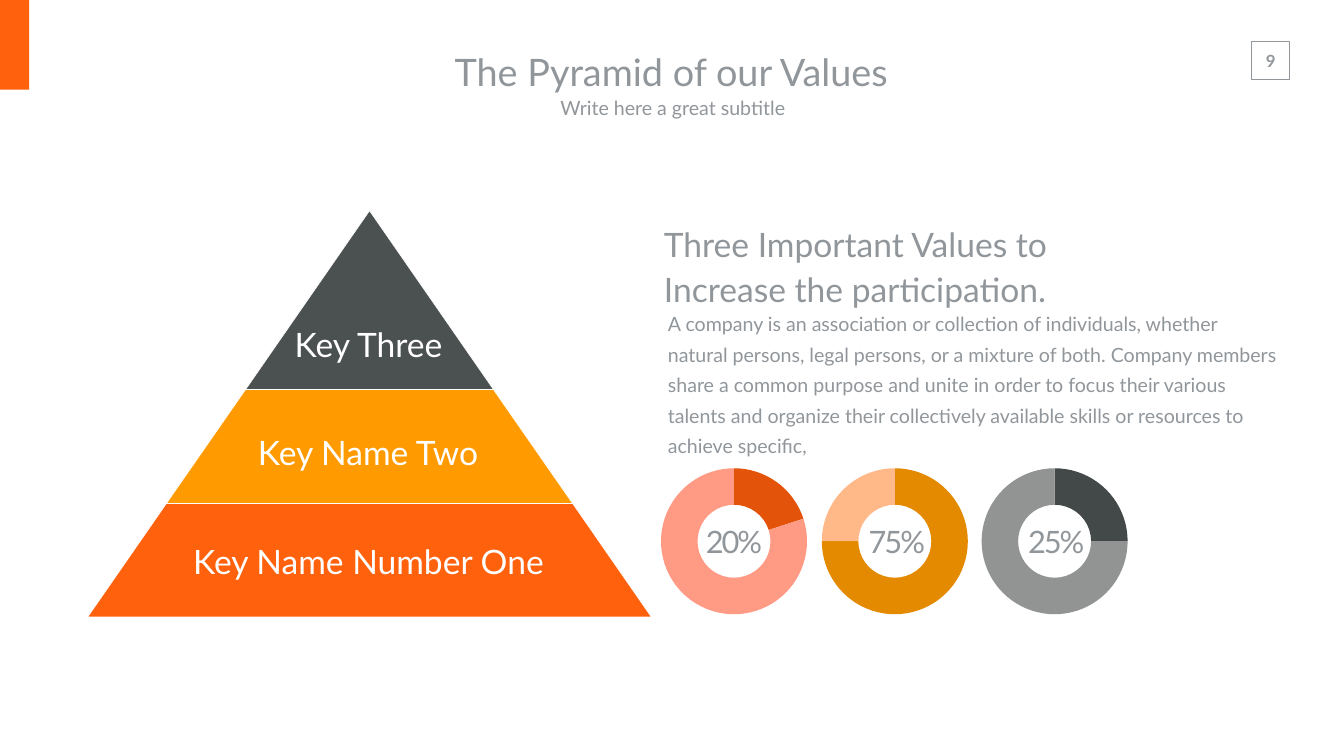
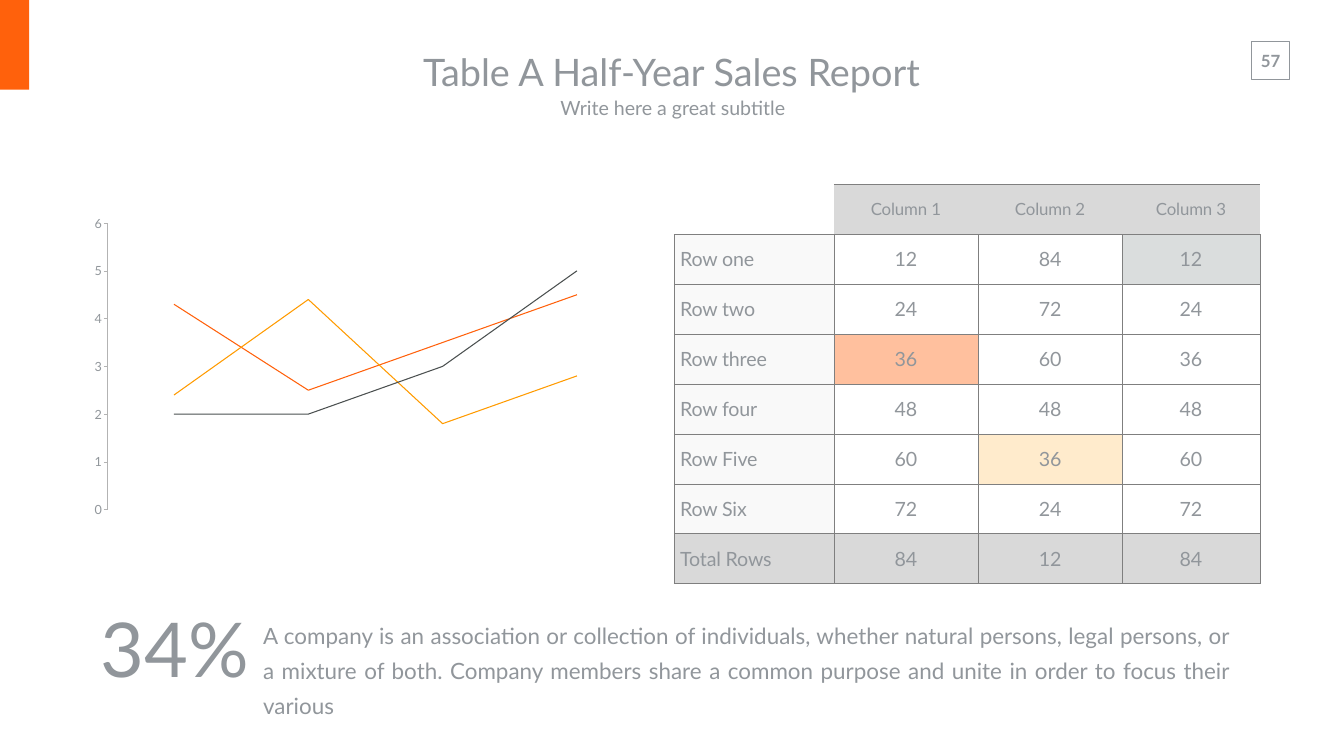
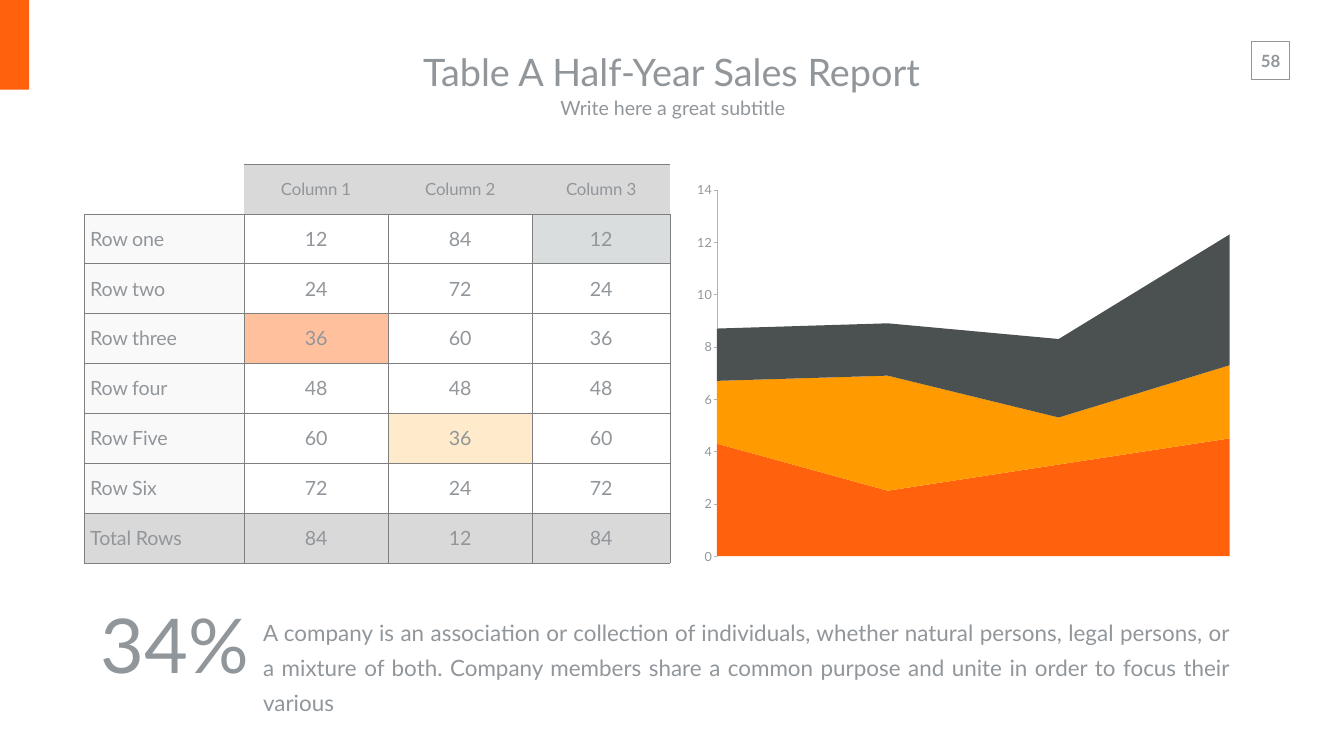
from pptx import Presentation
from pptx import util as u
from pptx.chart import data as chart_data
from pptx.dml.color import RGBColor
from pptx.enum import chart as ch, shapes, text
from pptx.oxml import parse_xml
from pptx.oxml.ns import nsdecls


class Theme:
    font = "Lato"
    grey, white = RGBColor.from_string("91969B"), RGBColor.from_string("FFFFFF")
    orange, amber, slate = (RGBColor.from_string(c) for c in ("FF610C", "FF9B00", "4B5050"))
    axis = RGBColor.from_string("B3B3B3")
    band, pale_slate, pale_orange, pale_amber = (
        RGBColor.from_string(c) for c in ("D9D9D9", "DADDDD", "FFC09E", "FFEBCC"))
    border = "7F7F7F"
    rings = [("E3540A", "FF9A85"), ("E38A00", "FFB888"), ("434848", "919493")]
    title, heading, label, figure = 54, 48, 44, 108
    report, body, small, chart = 32, 28, 24, 18


PX = 9144  # 100 px to the inch
CENTER, MIDDLE = text.PP_ALIGN.CENTER, text.MSO_ANCHOR.MIDDLE
WIDE = (27, 13)


def px(*lengths):
    return [u.Emu(length * PX) for length in lengths]


def write(holder, lines, size, align=text.PP_ALIGN.LEFT, anchor=text.MSO_ANCHOR.TOP,
          inset=(10, 5), spacing=None, color=Theme.grey, tracking=None):
    """Fill a shape or a table cell with one paragraph per line."""
    frame = holder.text_frame
    owner = holder if hasattr(holder, "margin_left") else frame
    owner.margin_left = owner.margin_right = px(inset[0])[0]
    owner.margin_top = owner.margin_bottom = px(inset[1])[0]
    owner.vertical_anchor = anchor
    if owner is frame:
        frame.word_wrap = True
        frame.auto_size = text.MSO_AUTO_SIZE.SHAPE_TO_FIT_TEXT
    frame.text = "\n".join(lines)
    for para in frame.paragraphs:
        para.alignment = align
        if spacing:
            para.line_spacing = spacing
        font = para.font
        font.name, font.size, font.color.rgb = Theme.font, u.Pt(size), color
        if tracking:
            font._element.set("spc", str(tracking))


deck = Presentation()
deck.slide_width, deck.slide_height = px(2666, 1500)
charts = []  # each chart with the place of its plot area

# Shared frame of every slide
pages = []
for number, title, left, width in [
    (9, "The Pyramid of our Values", 815, 1033),
    (57, "Table A Half-Year Sales Report", 576, 1512),
    (58, "Table A Half-Year Sales Report", 576, 1512),
]:
    page = deck.slides.add_slide(deck.slide_layouts[5])
    pages.append(page)
    box = page.shapes.add_textbox(*px(2480, 90, 81, 61))
    write(box, [str(number)], Theme.small, CENTER, inset=(20, 10))
    box.text_frame.word_wrap = False
    box.text_frame.paragraphs[0].font.bold = True

    square = page.shapes.add_shape(shapes.MSO_SHAPE.RECTANGLE, *px(2483, 82, 75, 75))
    square.fill.background()
    square.line.color.rgb, square.line.width = Theme.grey, u.Pt(1)
    corner = page.shapes.add_shape(shapes.MSO_SHAPE.RECTANGLE, *px(0, 0, 58, 178))
    corner.fill.solid()
    corner.fill.fore_color.rgb = Theme.orange
    corner.line.fill.background()
    square.shadow.inherit = corner.shadow.inherit = False

    heading = page.shapes.title
    heading.left, heading.top, heading.width, heading.height = px(left, 83, width, 118)
    write(heading, [title], Theme.title, CENTER, MIDDLE, WIDE)
    subtitle = page.shapes.add_textbox(*px(818, 176, 1033, 74))
    write(subtitle, ["Write here a great subtitle"], Theme.body, CENTER, MIDDLE, WIDE)

pyramid_page, *report_pages = pages

# Pyramid
apex_x, apex_y, slope = 733, 418, 0.694
for top, bottom, color in [(418, 773, Theme.slate), (773, 999, Theme.amber),
                           (999, 1224, Theme.orange)]:
    upper, lower = (round((y - apex_y) * slope) for y in (top, bottom))
    outline = pyramid_page.shapes.build_freeform(apex_x - lower, bottom, scale=PX)
    outline.add_line_segments([(apex_x - upper, top), (apex_x + upper, top),
                               (apex_x + lower, bottom)], close=True)
    level = outline.convert_to_shape()
    level.shadow.inherit = False
    level.fill.solid()
    level.fill.fore_color.rgb = color
    level.line.color.rgb, level.line.width = Theme.white, u.Pt(1)

# Share rings
for left, label_left, share, colors in zip(
        (1250, 1569, 1886), (1350, 1673, 1989), (20, 75, 25), Theme.rings):
    values = chart_data.CategoryChartData()
    values.categories = ["1", "2"]
    values.add_series("Series 1", [share, 100 - share])
    ring = pyramid_page.shapes.add_chart(
        ch.XL_CHART_TYPE.DOUGHNUT, *px(left, 903, 408, 342), values).chart
    charts.append((ring, (0.15, 0.07, 0.71, 0.86)))
    plot = ring.plots[0]
    plot.vary_by_categories = True
    plot._element.xpath("c:holeSize")[0].set("val", "84")
    for index, color in enumerate(colors):
        look = plot.series[0].points[index].format
        look.fill.solid()
        look.fill.fore_color.rgb = RGBColor.from_string(color)
        look.line.fill.background()
    label = pyramid_page.shapes.add_textbox(*px(label_left, 1000, 212, 148))
    write(label, [f"{share}%"], Theme.label, CENTER, MIDDLE, WIDE, tracking=-300)
    label.text_frame.auto_size = text.MSO_AUTO_SIZE.NONE

# Pyramid texts
box = pyramid_page.shapes.add_textbox(*px(1315, 630, 1231, 253))
write(box, ["A company is an association or collection of individuals, whether natural persons, "
            "legal persons, or a mixture of both. Company members share a common purpose and "
            "unite in order to focus their various talents and organize their collectively "
            "available skills or resources to achieve specific,"],
      Theme.body, anchor=MIDDLE, spacing=1.3)
box = pyramid_page.shapes.add_textbox(*px(1307, 432, 1175, 186))
write(box, ["Three Important Values to", "Increase the participation."],
      Theme.heading, spacing=1.1)
for name, left, top, width in [("Key Name Number One", 366, 1061, 730),
                               ("Key Name Two", 481, 844, 498),
                               ("Key Three", 525, 630, 412)]:
    box = pyramid_page.shapes.add_textbox(*px(left, top, width, 98))
    write(box, [name], Theme.heading, CENTER, spacing=1.1, color=Theme.white)

# Sales reports
rows = [
    ("", "Column 1", "Column 2", "Column 3"),
    ("Row one", 12, 84, 12),
    ("Row two", 24, 72, 24),
    ("Row three", 36, 60, 36),
    ("Row four", 48, 48, 48),
    ("Row Five", 60, 36, 60),
    ("Row Six", 72, 24, 72),
    ("Total Rows", 84, 12, 84),
]
highlights = {(1, 3): Theme.pale_slate, (3, 1): Theme.pale_orange, (5, 2): Theme.pale_amber}
sales = [
    ("Series 1", (4.3, 2.5, 3.5, 4.5), Theme.orange),
    ("Series 2", (2.4, 4.4, 1.8, 2.8), Theme.amber),
    ("Series 3", (2, 2, 3, 5), Theme.slate),
]
last_row = len(rows) - 1
reports = [
    (1214, (1337, 366), ch.XL_CHART_TYPE.LINE, (167, 402, 1122, 677), 6, 1),
    (1207, (167, 325), ch.XL_CHART_TYPE.AREA_STACKED, (1379, 325, 1071, 865), 14, 2),
]
for page, (text_top, table_at, kind, chart_frame, top_value, step) in zip(report_pages, reports):
    box = page.shapes.add_textbox(*px(512, text_top, 1938, 147))
    write(box, ["A company is an association or collection of individuals, whether natural "
                "persons, legal persons, or a mixture of both. Company members share a common "
                "purpose and unite in order to focus their various"],
          Theme.report, text.PP_ALIGN.JUSTIFY, spacing=1.3)
    box = page.shapes.add_textbox(*px(190, text_top - 25, 352, 192))
    write(box, ["34%"], Theme.figure)

    table = page.shapes.add_table(len(rows), 4, *px(*table_at, 1162, 792)).table
    table.first_row = table.horz_banding = False
    no_style = "{2D5ABB26-0587-4C30-8999-92F81FD0307C}"
    table._tbl.tblPr.xpath("a:tableStyleId")[0].text = no_style
    for column, width in zip(table.columns, px(317, 286, 286, 273)):
        column.width = width
    for r, row in enumerate(rows):
        table.rows[r].height = px(99)[0]
        for c, value in enumerate(row):
            cell = table.cell(r, c)
            if value != "":
                write(cell, [str(value)], Theme.body if r else Theme.small,
                      CENTER if c else text.PP_ALIGN.LEFT, MIDDLE, (12, 7), tracking=-20)
            shaded = r == last_row or (r == 0) != (c == 0)
            fill = highlights.get((r, c), Theme.band if shaded else None)
            if fill is None:
                cell.fill.background()
            else:
                cell.fill.solid()
                cell.fill.fore_color.rgb = fill
            properties = cell._tc.get_or_add_tcPr()
            if c == 0 and 0 < r < last_row:
                properties.xpath("a:solidFill/a:srgbClr")[0].append(
                    parse_xml(f'<a:alpha {nsdecls("a")} val="15000"/>'))
            sides = "LRTB" if r else "TB" if c else "B"
            for place, side in enumerate(sides):
                properties.insert(place, parse_xml(
                    f'<a:ln{side} {nsdecls("a")} w="6350"><a:solidFill>'
                    f'<a:srgbClr val="{Theme.border}"><a:alpha val="50000"/></a:srgbClr>'
                    f'</a:solidFill><a:prstDash val="solid"/></a:ln{side}>'))

    values = chart_data.CategoryChartData()
    values.categories = ["1", "2", "3", "4"]
    for name, numbers, _ in sales:
        values.add_series(name, numbers)
    chart = page.shapes.add_chart(kind, *px(*chart_frame), values).chart
    charts.append((chart, (0.04, 0.06, 0.95, 0.84)))
    chart.plots[0].vary_by_categories = False
    for series, (_, _, color) in zip(chart.plots[0].series, sales):
        if kind == ch.XL_CHART_TYPE.LINE:
            series.smooth = False
            series.format.line.color.rgb, series.format.line.width = color, u.Pt(1.5)
        else:
            series.format.fill.solid()
            series.format.fill.fore_color.rgb = color
            series.format.line.fill.background()
    chart.category_axis.visible = False
    chart.category_axis.has_major_gridlines = False
    axis = chart.value_axis
    axis.has_major_gridlines = False
    axis.minimum_scale, axis.maximum_scale, axis.major_unit = 0, top_value, step
    axis.major_tick_mark = ch.XL_TICK_MARK.OUTSIDE
    axis.format.line.color.rgb, axis.format.line.width = Theme.axis, u.Pt(0.75)

# Shared chart look
for chart, plot_place in charts:
    chart.has_legend = chart.has_title = False
    chart.font.name, chart.font.size = Theme.font, u.Pt(Theme.chart)
    chart.font.color.rgb = Theme.grey
    place = "".join(f'<c:{key} val="{value}"/>' for key, value in zip("xywh", plot_place))
    plot_area = chart._chartSpace.chart.plotArea
    for layout in plot_area.xpath("c:layout"):
        plot_area.remove(layout)
    plot_area.insert(0, parse_xml(
        f'<c:layout {nsdecls("c")}><c:manualLayout><c:layoutTarget val="inner"/>'
        f'<c:xMode val="edge"/><c:yMode val="edge"/>{place}</c:manualLayout></c:layout>'))

deck.save("out.pptx")
